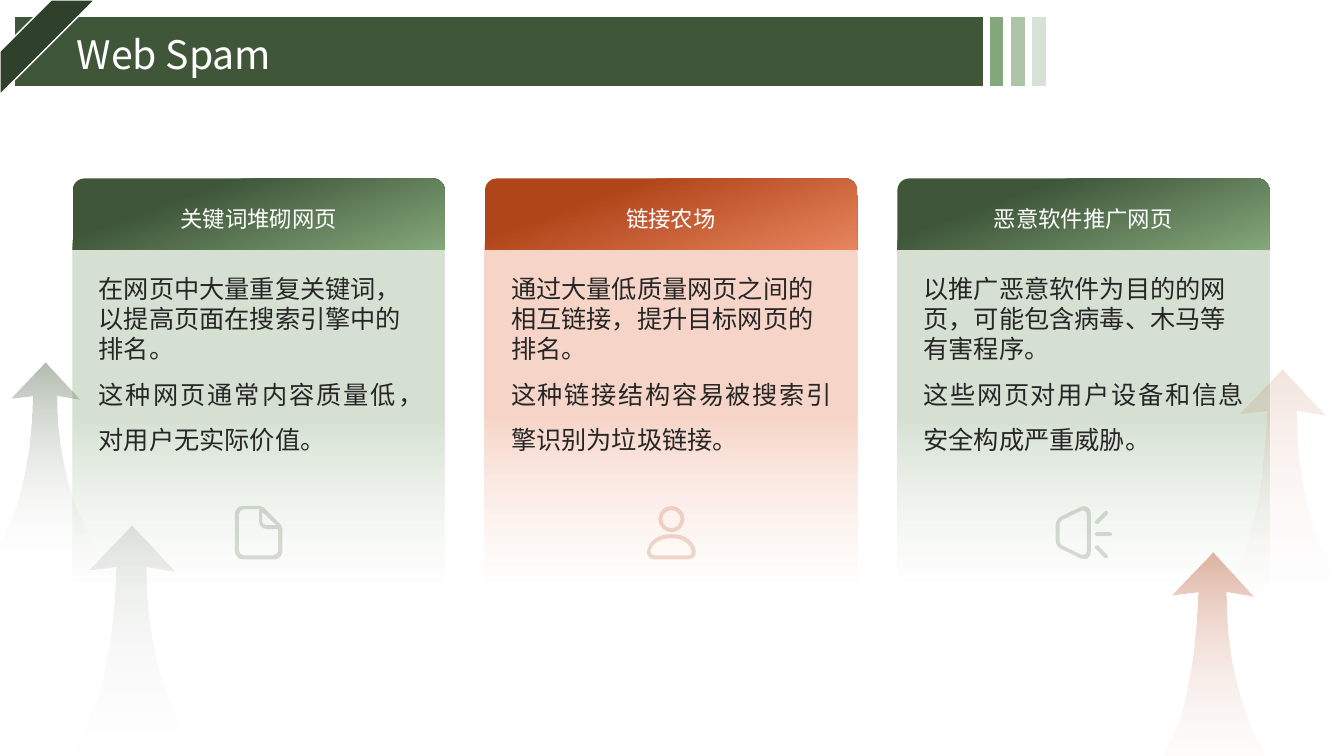
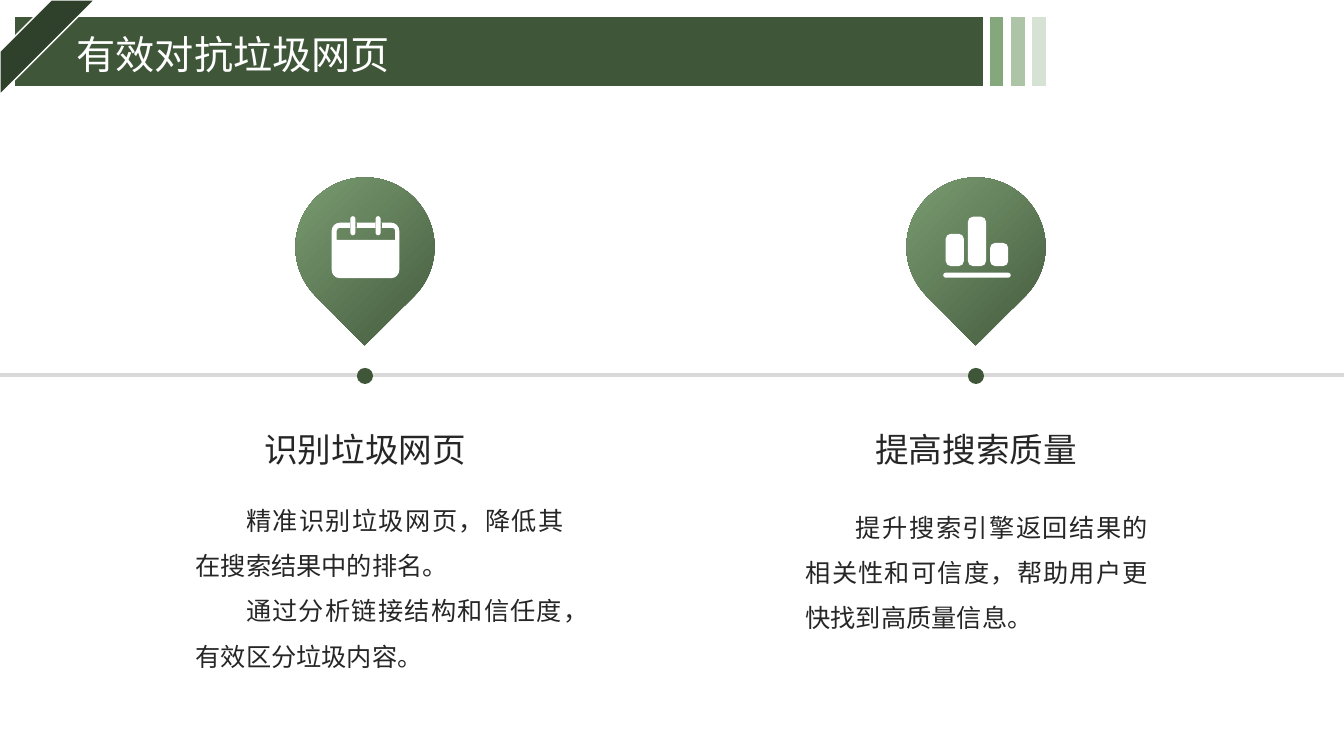
from math import dist

from lxml.etree import SubElement
from pptx import Presentation
from pptx.dml.color import RGBColor
from pptx.enum.shapes import MSO_CONNECTOR, MSO_SHAPE
from pptx.enum.text import MSO_ANCHOR, MSO_AUTO_SIZE, PP_ALIGN
from pptx.oxml import parse_xml
from pptx.oxml.ns import nsdecls, qn
from pptx.util import Inches, Pt

FONT = "Noto Sans CJK SC"
GREEN, DEEP_GREEN, MID_GREEN = "3F5639", "2F412B", "84A77B"
SOFT_GREEN, PALE_GREEN = "ADC4A7", "D6E2D3"
RUST, CORAL, PEACH, PALE_PEACH = "B1451A", "E7855E", "EFAE94", "F7D6C9"
INK, GREY, WHITE = "262626", "D9D9D9", "FFFFFF"

GREEN_CARD = (GREEN, MID_GREEN, SOFT_GREEN, PALE_GREEN)
RUST_CARD = (RUST, CORAL, PEACH, PALE_PEACH)

# Outline of a rising arrow in units of its width: points and cubic curves.
ARROW = [(0.5, 0), (0.75, 0.27), (0.58, 0.24), (0.58, 0.7, 0.7, 1.15, 1, 1.5),
         (0, 1.5), (0.32, 1.17, 0.39, 0.74, 0.41, 0.24), (0.25, 0.26)]


def rgb(color):
    return RGBColor.from_string(color)


def paint(sp, color, line=None, alpha=100):
    """Solid fill, optional 1 pt outline, no shadow."""
    sp.shadow.inherit = False
    sp.fill.solid()
    sp.fill.fore_color.rgb = rgb(color)
    if alpha < 100:
        clr = sp._element.spPr.find(qn("a:solidFill"))[0]
        SubElement(clr, qn("a:alpha"), val=str(alpha * 1000))
    if line:
        sp.line.color.rgb = rgb(line)
        sp.line.width = Pt(1)
    else:
        sp.line.fill.background()


def paint_gradient(sp, stops, angle):
    """Linear gradient from (position %, colour, opacity %) stops."""
    paint(sp, WHITE)
    marks = "".join(
        f'<a:gs pos="{pos * 1000}"><a:srgbClr val="{color}">'
        f'<a:alpha val="{alpha * 1000}"/></a:srgbClr></a:gs>'
        for pos, color, alpha in stops)
    spPr = sp._element.spPr
    spPr.replace(spPr.find(qn("a:solidFill")), parse_xml(
        f'<a:gradFill {nsdecls("a")} rotWithShape="1"><a:gsLst>{marks}</a:gsLst>'
        f'<a:lin ang="{angle * 60000}" scaled="0"/></a:gradFill>'))


def add_preset(slide, kind, x, y, w, h):
    return slide.shapes.add_shape(kind, Inches(x), Inches(y), Inches(w), Inches(h))


def write(sp, paragraphs, size, color=INK, align=PP_ALIGN.LEFT, spacing=1.0,
          anchor=MSO_ANCHOR.TOP, inset=0, indent=0):
    tf = sp.text_frame
    tf.word_wrap = True
    tf.auto_size = MSO_AUTO_SIZE.NONE
    tf.vertical_anchor = anchor
    tf.margin_left = tf.margin_right = Inches(inset)
    tf.margin_top = tf.margin_bottom = Inches(inset / 2)
    tf.text = "\n".join(paragraphs)
    for p in tf.paragraphs:
        p.alignment = align
        p.line_spacing = spacing
        if indent:
            p._p.get_or_add_pPr().set("indent", str(Inches(indent)))
        for r in p.runs:
            r.font.size = Pt(size)
            r.font.color.rgb = rgb(color)
            r.font.name = FONT
            SubElement(r._r.get_or_add_rPr(), qn("a:ea"), typeface=FONT)
    return tf


def add_text(slide, x, y, w, h, paragraphs, size, **style):
    sp = slide.shapes.add_textbox(Inches(x), Inches(y), Inches(w), Inches(h))
    return write(sp, paragraphs, size, **style)


def toward(a, b, share):
    return tuple(m + (n - m) * share for m, n in zip(a, b))


def rounded(*corners):
    """Closed outline from (x, y, radius) corners."""
    outline = []
    for i, (x, y, radius) in enumerate(corners):
        c = (x, y)
        before, after = corners[i - 1][:2], corners[(i + 1) % len(corners)][:2]
        start = toward(c, before, radius / dist(c, before))
        end = toward(c, after, radius / dist(c, after))
        if not outline or dist(outline[-1][-2:], start) > 0.001:
            outline.append(start)
        if radius:
            outline.append(toward(start, c, 0.55) + toward(end, c, 0.55) + end)
    return outline


def box(x1, y1, x2, y2, top=0, bottom=None):
    """Rectangle outline with its top and bottom corner radii."""
    bottom = top if bottom is None else bottom
    return rounded((x1, y1, top), (x2, y1, top), (x2, y2, bottom), (x1, y2, bottom))


def circle(x, y, r):
    return box(x - r, y - r, x + r, y + r, r)


def bar(x1, y1, x2, y2, width=0.04):
    """Line with round ends, as a filled outline."""
    length, r = dist((x1, y1), (x2, y2)), width / 2
    ux, uy = (x2 - x1) / length * r, (y2 - y1) / length * r
    return rounded((x1 - ux - uy, y1 - uy + ux, r), (x1 - ux + uy, y1 - uy - ux, r),
                   (x2 + ux + uy, y2 + uy - ux, r), (x2 + ux - uy, y2 + uy + ux, r))


def add_outlines(slide, *outlines):
    """One freeform of points and cubic curves; an inner outline is a hole."""
    builder = None
    for outline in outlines:
        first, *rest = [(Inches(seg[i]), Inches(seg[i + 1]))
                        for seg in outline for i in range(0, len(seg), 2)]
        if builder:
            builder.move_to(*first)
        else:
            builder = slide.shapes.build_freeform(*first, scale=1.0)
        builder.add_line_segments(rest, close=True)
    sp = builder.convert_to_shape()

    # Join the three points of each curve into one cubic segment.
    track = sp._element.spPr.find(".//" + qn("a:path"))
    steps = iter(list(track))
    for outline in outlines:
        for seg in outline:
            curve, *others = [next(steps) for _ in range(len(seg) // 2)]
            if others:
                curve.tag = qn("a:cubicBezTo")
            for step in others:
                curve.append(step[0])
                track.remove(step)
        next(steps)  # the closing step
    return sp


def add_arrow(slide, x, y, width, color, alpha):
    outline = [tuple(v * width + (y if i % 2 else x) for i, v in enumerate(seg))
               for seg in ARROW]
    sp = add_outlines(slide, outline)
    paint_gradient(sp, [(0, color, alpha), (100, WHITE, 0)], 90)


def new_slide(prs, title):
    """Slide with the title band, corner stripe and closing bars."""
    slide = prs.slides.add_slide(prs.slide_layouts[5])
    band = add_preset(slide, MSO_SHAPE.RECTANGLE, 0.14, 0.16, 9.62, 0.7)
    paint(band, GREEN, WHITE)
    stripe = add_preset(slide, MSO_SHAPE.DIAGONAL_STRIPE, 0, 0, 0.94, 0.94)
    stripe.adjustments[0] = 0.54
    paint(stripe, DEEP_GREEN, WHITE)
    for i, color in enumerate((MID_GREEN, SOFT_GREEN, PALE_GREEN)):
        paint(add_preset(slide, MSO_SHAPE.RECTANGLE, 9.81 + 0.21 * i, 0.16, 0.15, 0.7),
              color, WHITE)
    sp = slide.shapes.title
    sp.left, sp.top, sp.width, sp.height = map(Inches, (0.76, 0.28, 8.65, 0.47))
    write(sp, [title], 28, color=WHITE, spacing=1.1, anchor=MSO_ANCHOR.MIDDLE)
    slide.shapes._spTree.append(sp._element)  # title in front of its band
    return slide


def add_card(slide, x, colors, text_width, heading, intro, remark):
    dark, bright, soft, pale = colors
    panel = add_preset(slide, MSO_SHAPE.RECTANGLE, x, 2.48, 3.69, 3.36)
    paint_gradient(panel, [(50, soft, 50), (100, pale, 0)], 90)
    head = add_preset(slide, MSO_SHAPE.ROUND_2_SAME_RECTANGLE, x, 1.77, 3.69, 0.71)
    paint_gradient(head, [(28, dark, 100), (100, bright, 100)], 70)
    tf = write(head, [heading], 16, color=WHITE, align=PP_ALIGN.CENTER, spacing=1.3,
               anchor=MSO_ANCHOR.MIDDLE)
    tf.margin_bottom = Inches(0.02)
    tf = add_text(slide, x + 0.16, 2.66, text_width, 2.35, [intro, remark], 18,
                  align=PP_ALIGN.JUSTIFY, spacing=1.5, inset=0.1)
    tf.paragraphs[0].alignment = PP_ALIGN.LEFT
    tf.paragraphs[0].line_spacing = 1.0


def add_card_icons(slide):
    page = [
        rounded((2.33, 5.02, 0.08), (2.6, 5.02, 0.02), (2.8, 5.22, 0.02),
                (2.8, 5.55, 0.08), (2.33, 5.55, 0.08)),
        rounded((2.37, 5.05, 0.05), (2.57, 5.05, 0), (2.57, 5.25, 0.08),
                (2.76, 5.25, 0), (2.76, 5.51, 0.05), (2.37, 5.51, 0.05)),
        rounded((2.6, 5.08, 0), (2.74, 5.21, 0), (2.6, 5.21, 0.04)),
    ]
    person = [
        circle(6.66, 5.15, 0.13),
        circle(6.66, 5.15, 0.09),
        [(6.66, 5.3), (6.82, 5.3, 6.88, 5.38, 6.9, 5.46), (6.91, 5.5, 6.88, 5.55, 6.83, 5.55),
         (6.49, 5.55), (6.44, 5.55, 6.4, 5.5, 6.42, 5.46), (6.44, 5.38, 6.5, 5.3, 6.66, 5.3)],
        [(6.66, 5.34), (6.77, 5.34, 6.84, 5.39, 6.86, 5.47), (6.87, 5.49, 6.85, 5.51, 6.83, 5.51),
         (6.49, 5.51), (6.47, 5.51, 6.45, 5.49, 6.45, 5.47), (6.47, 5.39, 6.55, 5.34, 6.66, 5.34)],
    ]
    speaker = [
        rounded((10.47, 5.15, 0.06), (10.82, 4.98, 0.12),
                (10.82, 5.59, 0.12), (10.47, 5.42, 0.06)),
        rounded((10.51, 5.17, 0.03), (10.78, 5.04, 0.07),
                (10.78, 5.53, 0.07), (10.51, 5.4, 0.03)),
        bar(10.88, 5.18, 10.97, 5.09),
        bar(10.88, 5.3, 11.01, 5.3),
        bar(10.88, 5.43, 10.97, 5.52),
    ]
    for icon, color in ((page, GREEN), (person, RUST), (speaker, GREEN)):
        paint(add_outlines(slide, *icon), color, alpha=20)


def add_pin(slide, x, heading):
    """Map pin, timeline dot and heading centred on x."""
    pin = add_preset(slide, MSO_SHAPE.TEAR, x - 0.69, 1.76, 1.38, 1.38)
    pin.rotation = 135.2
    paint_gradient(pin, [(0, GREEN, 100), (100, MID_GREEN, 100)], 90)
    paint(add_preset(slide, MSO_SHAPE.OVAL, x - 0.08, 3.65, 0.16, 0.16), GREEN)
    add_text(slide, x - 2.56, 4.14, 5.12, 0.51, [heading], 24, align=PP_ALIGN.CENTER,
             spacing=1.3, anchor=MSO_ANCHOR.MIDDLE)


def add_pin_icons(slide):
    calendar = [box(3.29, 2.21, 3.96, 2.76, 0.08),
                box(3.34, 2.26, 3.92, 2.38, 0.03, 0),
                box(3.47, 2.21, 3.54, 2.26), box(3.72, 2.21, 3.79, 2.26),
                *(bar(x, 2.17, x, 2.31, 0.05) for x in (3.5, 3.75))]
    chart = [box(9.38, 2.32, 9.56, 2.64, 0.05), box(9.6, 2.15, 9.78, 2.64, 0.05),
             box(9.82, 2.41, 10, 2.64, 0.05), bar(9.38, 2.73, 10, 2.73, 0.05)]
    for icon in (calendar, chart):
        paint(add_outlines(slide, *icon), WHITE)


def build_spam_types(prs):
    slide = new_slide(prs, "Web Spam")
    cards = [
        (GREEN_CARD, 3.42, "关键词堆砌网页",
         "在网页中大量重复关键词，以提高页面在搜索引擎中的排名。",
         "这种网页通常内容质量低，对用户无实际价值。"),
        (RUST_CARD, 3.38, "链接农场",
         "通过大量低质量网页之间的相互链接，提升目标网页的排名。",
         "这种链接结构容易被搜索引擎识别为垃圾链接。"),
        (GREEN_CARD, 3.38, "恶意软件推广网页",
         "以推广恶意软件为目的的网页，可能包含病毒、木马等有害程序。",
         "这些网页对用户设备和信息安全构成严重威胁。"),
    ]
    for i, card in enumerate(cards):
        add_card(slide, 0.72 + 4.09 * i, *card)
    add_card_icons(slide)
    for arrow in ((11.21, 5.48, 1.64, RUST, 40), (11.86, 3.67, 1.72, RUST, 15),
                  (-0.24, 3.6, 1.39, GREEN, 40), (0.45, 5.21, 1.72, GREEN, 15)):
        add_arrow(slide, *arrow)


def build_countermeasures(prs):
    slide = new_slide(prs, "有效对抗垃圾网页")
    timeline = slide.shapes.add_connector(
        MSO_CONNECTOR.STRAIGHT, 0, Inches(3.72), prs.slide_width, Inches(3.72))
    timeline.line.color.rgb = rgb(GREY)
    timeline.line.width = Pt(2.25)
    SubElement(timeline._element.spPr, qn("a:effectLst"))
    goals = [
        (3.62, "识别垃圾网页", (1.94, 4.86, 3.65, 1.42),
         ["精准识别垃圾网页，降低其在搜索结果中的排名。",
          "通过分析链接结构和信任度，有效区分垃圾内容。"]),
        (9.68, "提高搜索质量", (7.99, 4.93, 3.4, 1.42),
         ["提升搜索引擎返回结果的相关性和可信度，帮助用户更快找到高质量信息。"]),
    ]
    for x, heading, place, paragraphs in goals:
        add_pin(slide, x, heading)
        add_text(slide, *place, paragraphs, 18, align=PP_ALIGN.JUSTIFY, spacing=1.5,
                 indent=0.5)
    add_pin_icons(slide)


def main():
    prs = Presentation()
    prs.slide_width, prs.slide_height = Inches(13.33), Inches(7.5)
    build_spam_types(prs)
    build_countermeasures(prs)
    prs.save("out.pptx")


if __name__ == "__main__":
    main()
